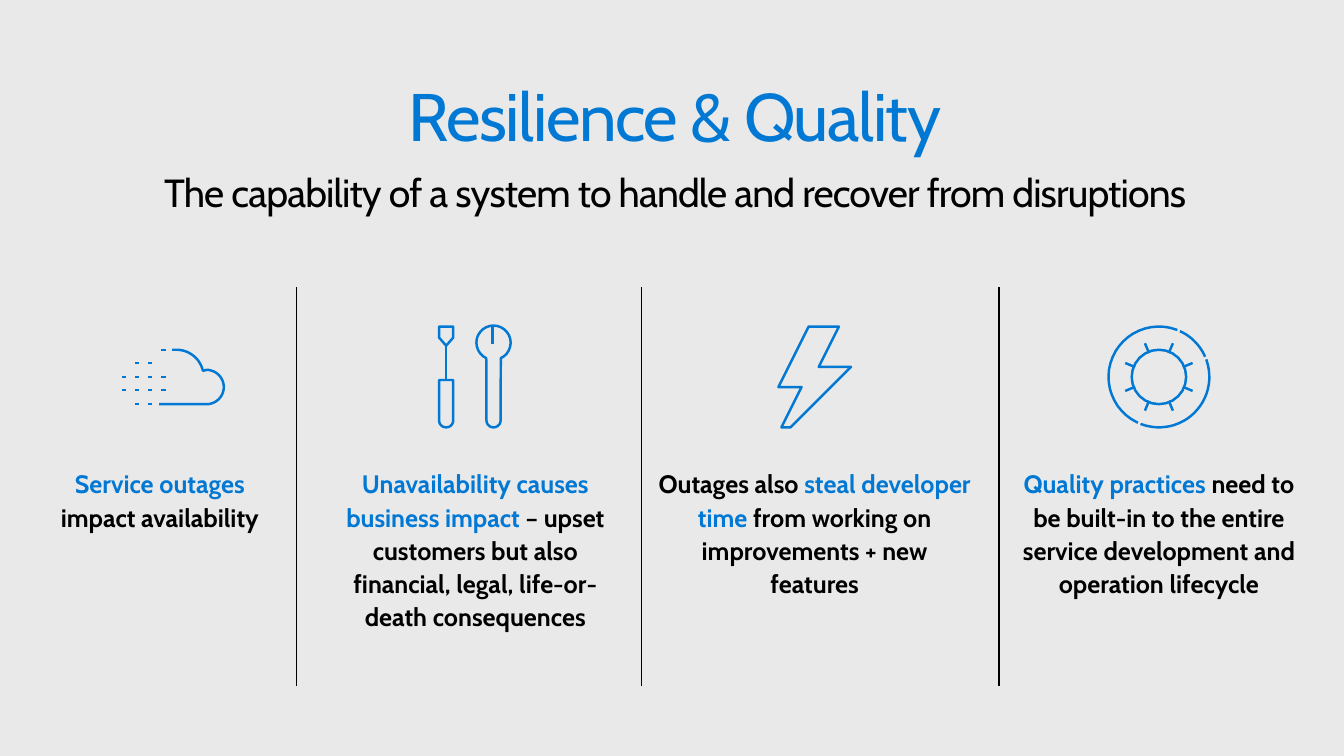
from dataclasses import dataclass
from math import cos, radians, sin

from lxml import etree
from pptx import Presentation
from pptx.dml.color import RGBColor
from pptx.enum.shapes import MSO_CONNECTOR
from pptx.enum.text import MSO_ANCHOR, PP_ALIGN
from pptx.oxml.ns import qn
from pptx.util import Inches, Pt


@dataclass(frozen=True)
class Theme:
    font: str = "Cabin"
    background: RGBColor = RGBColor(0xE9, 0xE9, 0xE9)
    accent: RGBColor = RGBColor(0x00, 0x78, 0xD4)
    ink: RGBColor = RGBColor(0, 0, 0)
    title: int = 48
    subtitle: int = 28
    body: int = 18
    divider: float = 1
    stroke: float = 1.75


@dataclass(frozen=True)
class Box:
    """A rectangle in grid cells, ten cells to the inch."""
    left: float
    top: float
    width: float
    height: float

    @property
    def emu(self):
        return [cells(v) for v in (self.left, self.top, self.width, self.height)]


THEME = Theme()
HEADER = Box(5.3, 8.3, 123.3, 13.2)
PANEL = Box(0, 28.5, 133.3, 39.6)
DIVIDERS = (29.4, 63.6, 99.1)
ICON_SIZE = 10


def cells(count):
    return Inches(count / 10)


def arc(cx, cy, radius, start, end, steps=24):
    """Points along an arc; angles in degrees, clockwise from the right."""
    angles = [radians(start + (end - start) * i / steps) for i in range(steps + 1)]
    return [(cx + radius * cos(a), cy + radius * sin(a)) for a in angles]


# Each icon is a list of (points, closed) strokes, as shares of a square box.
def cloud_strokes():
    dash_rows = {0.23: (3,), 0.36: (1, 2), 0.5: (0, 1, 2, 3),
                 0.63: (0, 1, 2, 3), 0.77: (1, 2)}
    dashes = [([(0.13 * c, y), (0.13 * c + 0.02, y)], False)
              for y, columns in dash_rows.items() for c in columns]
    outline = [(0.37, 0.77), *arc(0.83, 0.6, 0.17, 90, -90),
               *arc(0.53, 0.5, 0.27, -13, -90), (0.5, 0.23)]
    return dashes + [(outline, False)]


def tools_strokes():
    wrench = arc(0.68, 0.16, 0.17, 115, 425) + arc(0.68, 0.93, 0.07, 0, 180)
    handle = [(0.14, 0.53), (0.28, 0.53), *arc(0.21, 0.93, 0.07, 0, 180)]
    blade = [(0.14, 0), (0.28, 0), (0.28, 0.11), (0.21, 0.19), (0.14, 0.11)]
    return [(wrench, True), (handle, True), (blade, True),
            ([(0.21, 0.19), (0.21, 0.53)], False),
            ([(0.67, 0), (0.67, 0.16)], False)]


def bolt_strokes():
    return [([(0.26, 1), (0.86, 0.4), (0.54, 0.4), (0.74, 0),
              (0.44, 0), (0.14, 0.6), (0.37, 0.6), (0.17, 1)], True)]


def dial_strokes():
    rim = [(arc(0.5, 0.5, 0.5, *span), False)
           for span in ((-70, -244), (110, -19), (-25, -64))]
    ticks = [([arc(0.5, 0.5, r, angle, angle, 1)[0] for r in (0.27, 0.35)], False)
             for angle in (22.5 + 45 * i for i in range(8))]
    return [(arc(0.5, 0.5, 0.27, 0, 360)[:-1], True), *rim, *ticks]


COLUMNS = (
    (4.3, 23.1, 1.35, cloud_strokes,
     [("Service outages ", True), ("impact availability", False)]),
    (33, 28.3, 0, tools_strokes,
     [("Unavailability causes business impact ", True),
      ("– upset customers but also financial, legal, life-or-death consequences", False)]),
    (65.3, 31, 0, bolt_strokes,
     [("Outages also ", False), ("steal developer time ", True),
      ("from working on improvements + new features", False)]),
    (100.8, 28.3, 0, dial_strokes,
     [("Quality practices ", True),
      ("need to be built-in to the entire service development and operation lifecycle", False)]),
)


def fill_text(sp, runs, size, line_spacing, tracking=0, bold=False):
    """Write one centred paragraph of (text, accented) runs."""
    tf = sp.text_frame
    tf.word_wrap = True
    tf.vertical_anchor = MSO_ANCHOR.TOP
    tf.margin_left = tf.margin_top = tf.margin_right = tf.margin_bottom = 0
    p = tf.paragraphs[0]
    p.alignment = PP_ALIGN.CENTER
    p.line_spacing = line_spacing
    p.space_before = Pt(0)
    p.font.name, p.font.size, p.font.bold = THEME.font, Pt(size), bold
    for text, accented in runs:
        r = p.add_run()
        r.text = text
        r.font.color.rgb = THEME.accent if accented else THEME.ink
        if tracking:
            r._r.get_or_add_rPr().set("spc", str(round(tracking * 100)))


def add_header(slide, box):
    title = slide.shapes.title
    title.left, title.top, title.width, title.height = Box(
        box.left, box.top, box.width, 6.9).emu
    fill_text(title, [("Resilience & Quality", True)], THEME.title, 0.9, tracking=-1)
    subtitle = slide.shapes.add_textbox(
        *Box(box.left, box.top + 7.9, box.width, 5.3).emu)
    fill_text(subtitle,
              [("The capability of a system to handle and recover from disruptions", False)],
              THEME.subtitle, 1.1, tracking=-0.6)


def add_divider(slide, x, box):
    line = slide.shapes.add_connector(
        MSO_CONNECTOR.STRAIGHT, cells(x), cells(box.top),
        cells(x), cells(box.top + box.height))
    line.line.color.rgb = THEME.ink
    line.line.width = Pt(THEME.divider)
    etree.SubElement(line._element.spPr, qn("a:effectLst"))


def add_icon(slide, strokes, box):
    units = 1000
    builder = None
    for points, closed in strokes:
        scaled = [(round(x * units), round(y * units)) for x, y in points]
        if builder is None:
            builder = slide.shapes.build_freeform(
                *scaled[0], scale=cells(box.width) / units)
        else:
            builder.move_to(*scaled[0])
        builder.add_line_segments(scaled[1:], close=closed)
    sp = builder.convert_to_shape(cells(box.left), cells(box.top))
    sp.shadow.inherit = False
    sp.fill.background()
    sp.line.color.rgb = THEME.accent
    sp.line.width = Pt(THEME.stroke)
    sp.line._get_or_add_ln().set("cap", "sq")


def add_column(slide, box, icon_shift, strokes, runs):
    icon_left = box.left + (box.width - ICON_SIZE) / 2 + icon_shift
    add_icon(slide, strokes, Box(icon_left, box.top + 3.9, ICON_SIZE, ICON_SIZE))
    text = slide.shapes.add_textbox(
        *Box(box.left, box.top + 17.7, box.width, 16.4).emu)
    fill_text(text, runs, THEME.body, 1.1, bold=True)


def add_panel(slide, box):
    for x in DIVIDERS:
        add_divider(slide, box.left + x, box)
    for left, width, shift, strokes, runs in COLUMNS:
        column = Box(box.left + left, box.top, width, box.height)
        add_column(slide, column, shift, strokes(), runs)


def main():
    prs = Presentation()
    prs.slide_width, prs.slide_height = Inches(13.33), Inches(7.5)
    slide = prs.slides.add_slide(prs.slide_layouts.get_by_name("Title Only"))
    slide.background.fill.solid()
    slide.background.fill.fore_color.rgb = THEME.background
    add_header(slide, HEADER)
    add_panel(slide, PANEL)
    prs.save("out.pptx")


if __name__ == "__main__":
    main()
